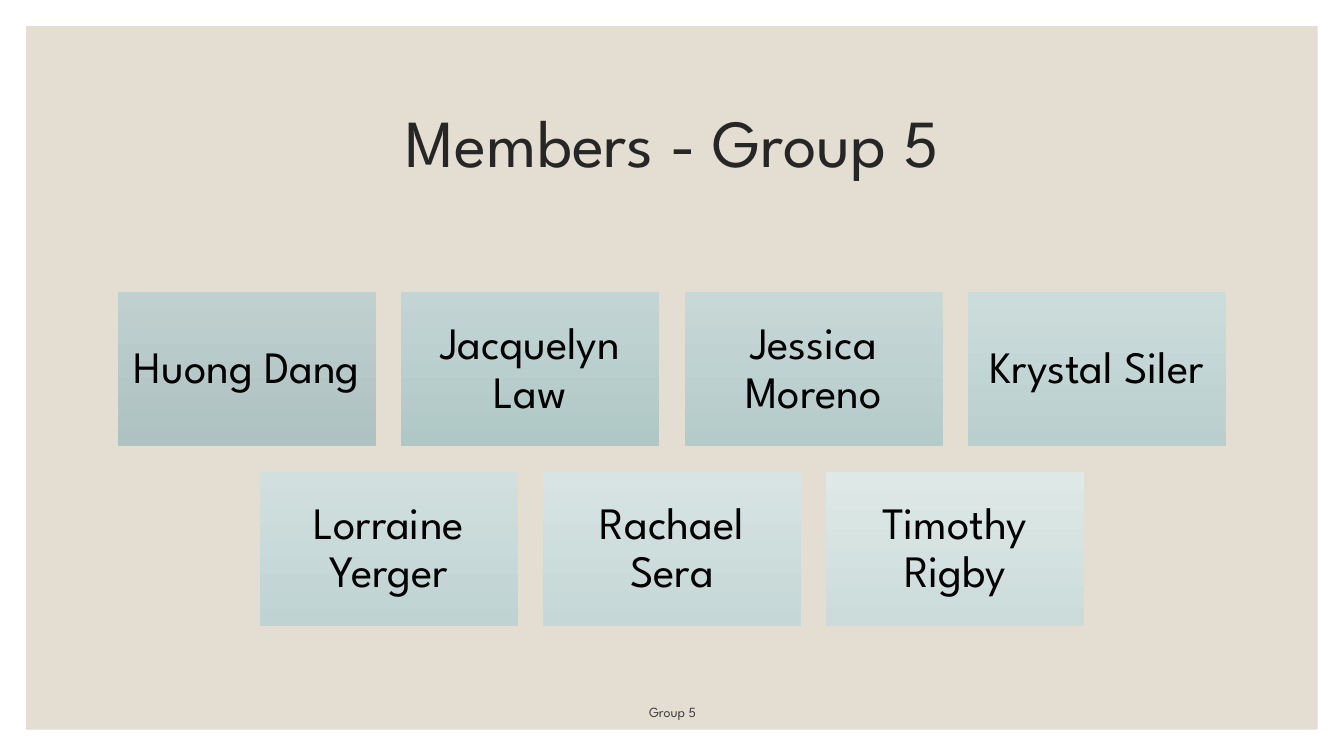
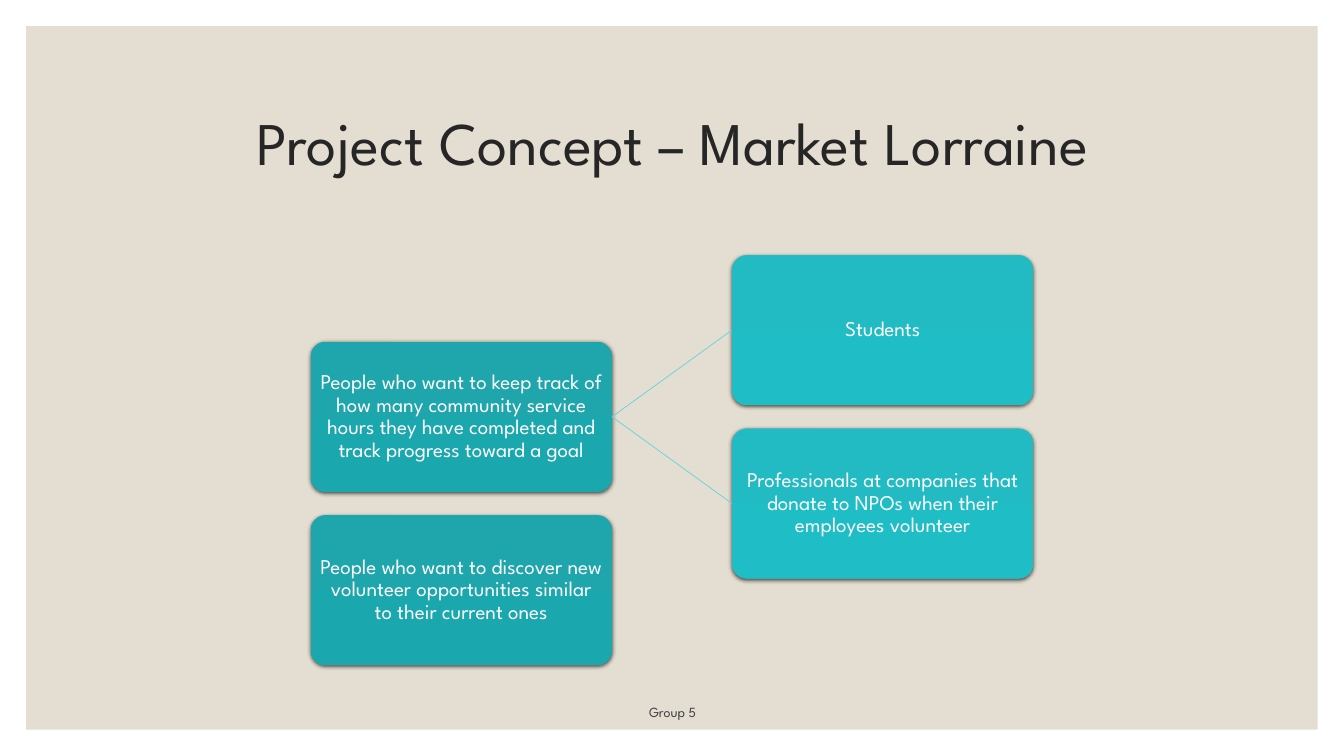
"""Build two slides: the group members and the project's market concept."""
import lxml.etree
import pptx
import pptx.dml.color
import pptx.enum.shapes
import pptx.enum.text
import pptx.oxml.ns
import pptx.util

Inches = pptx.util.Inches
RGBColor = pptx.dml.color.RGBColor
SHAPES = pptx.enum.shapes.MSO_SHAPE
ANCHOR = pptx.enum.text.MSO_ANCHOR

FONT = "League Spartan"
SAND = RGBColor(0xE3, 0xDE, 0xD1)
TITLE_INK = RGBColor(0x26, 0x26, 0x26)
FOOTER_INK = RGBColor(0x40, 0x40, 0x40)
BLACK = RGBColor(0, 0, 0)
WHITE = RGBColor(0xFF, 0xFF, 0xFF)
LINK_TEAL = RGBColor(0x62, 0xD4, 0xDB)
DEEP_TEAL = (RGBColor(0x1F, 0xA5, 0xAC), RGBColor(0x1B, 0xA7, 0xAE))
BRIGHT_TEAL = (RGBColor(0x23, 0xBB, 0xC3), RGBColor(0x1F, 0xBD, 0xC5))

SLIDE_WIDTH, SLIDE_HEIGHT, MARGIN = 13.33, 7.5, 0.26
FOOTER = "Group 5"

MEMBERS_TITLE = "Members - Group 5"
MEMBER_ROWS = [
    [
        ("Huong Dang", "BFD0CF", "ADC2C1"),
        ("Jacquelyn Law", "C2D5D4", "AFC8C6"),
        ("Jessica Moreno", "C7D8D7", "B4CBCA"),
        ("Krystal Siler", "CCDCDB", "B9CFCE"),
    ],
    [
        ("Lorraine Yerger", "D1E0DF", "BFD3D2"),
        ("Rachael Sera", "D7E4E3", "C5D7D6"),
        ("Timothy Rigby", "DDE8E7", "CCDCDA"),
    ],
]
CARD_WIDTH, CARD_HEIGHT, CARD_GAP, CARDS_TOP = 2.56, 1.53, 0.25, 2.9

CONCEPT_TITLE = "Project Concept – Market Lorraine"
AUDIENCES = [
    "People who want to keep track of how many community service hours "
    "they have completed and track progress toward a goal",
    "People who want to discover new volunteer opportunities similar to "
    "their current ones",
]
SEGMENTS = [
    "Students",
    "Professionals at companies that donate to NPOs when their employees volunteer",
]
NODE_WIDTH, NODE_HEIGHT, NODE_PITCH = 2.99, 1.49, 1.72
AUDIENCE_LEFT, AUDIENCE_TOP = 3.08, 3.39
SEGMENT_LEFT, SEGMENT_TOP = 7.26, 2.53


def write_text(shape, text, size, color, anchor=ANCHOR.MIDDLE, inset=None):
    """Set centred text in the shared font."""
    frame = shape.text_frame
    frame.text = text
    frame.word_wrap = True
    frame.auto_size = pptx.enum.text.MSO_AUTO_SIZE.NONE
    frame.vertical_anchor = anchor
    if inset is not None:
        frame.margin_left = frame.margin_right = Inches(inset)
        frame.margin_top = frame.margin_bottom = Inches(inset)
    paragraph = frame.paragraphs[0]
    paragraph.alignment = pptx.enum.text.PP_ALIGN.CENTER
    paragraph.line_spacing = 0.9
    font = paragraph.runs[0].font
    font.name, font.size, font.color.rgb = FONT, pptx.util.Pt(size), color


def add_block(slide, kind, left, top, width, height):
    """Add a shape without outline or shadow."""
    block = slide.shapes.add_shape(
        kind, Inches(left), Inches(top), Inches(width), Inches(height))
    block.shadow.inherit = False
    block.line.fill.background()
    return block


def fill_downward(shape, colors):
    """Fill a shape with a gradient from top to bottom."""
    shape.fill.gradient()
    shape.fill.gradient_angle = 270
    for stop, color in zip(shape.fill.gradient_stops, colors):
        stop.color.rgb = color


def add_soft_shadow(shape):
    """Give a shape a small shadow below it."""
    tag = pptx.oxml.ns.qn
    effects = shape._element.spPr.find(tag("a:effectLst"))
    shadow = lxml.etree.SubElement(
        effects, tag("a:outerShdw"), blurRad=str(pptx.util.Pt(3)),
        dist=str(pptx.util.Pt(1)), dir="5400000", algn="ctr", rotWithShape="0")
    black = lxml.etree.SubElement(shadow, tag("a:srgbClr"), val="000000")
    lxml.etree.SubElement(black, tag("a:alpha"), val="63000")


def add_slide(presentation, title, title_size):
    """Add a slide with its title and footer."""
    slide = presentation.slides.add_slide(presentation.slide_layouts[5])
    heading = slide.shapes.title
    heading.left, heading.top = Inches(1.17), Inches(0.7)
    heading.width, heading.height = Inches(11), Inches(1.5)
    write_text(heading, title, title_size, TITLE_INK)
    footer = slide.shapes.add_textbox(
        Inches(3.82), Inches(6.9), Inches(5.7), Inches(0.3))
    write_text(footer, FOOTER, 10, FOOTER_INK, ANCHOR.BOTTOM)
    footer.text_frame.paragraphs[0].line_spacing = 1.0
    return slide


def move_panel_to_layout(slide):
    """Draw the sand panel once and place it on the shared layout."""
    panel = add_block(slide, SHAPES.RECTANGLE, MARGIN, MARGIN,
                      SLIDE_WIDTH - 2 * MARGIN, SLIDE_HEIGHT - 2 * MARGIN)
    panel.fill.solid()
    panel.fill.fore_color.rgb = SAND
    slide.slide_layout.shapes._spTree.insert(2, panel._element)


def add_members(slide):
    """Lay out the member cards in centred rows."""
    for row, members in enumerate(MEMBER_ROWS):
        row_width = len(members) * (CARD_WIDTH + CARD_GAP) - CARD_GAP
        row_left = (SLIDE_WIDTH - row_width) / 2
        top = CARDS_TOP + row * (CARD_HEIGHT + CARD_GAP)
        for column, (name, upper, lower) in enumerate(members):
            left = row_left + column * (CARD_WIDTH + CARD_GAP)
            card = add_block(slide, SHAPES.RECTANGLE, left, top,
                             CARD_WIDTH, CARD_HEIGHT)
            fill_downward(card, map(RGBColor.from_string, (upper, lower)))
            write_text(card, name, 32, BLACK, inset=0.13)


def add_nodes(slide, texts, left, top, colors):
    """Stack rounded boxes in a column and return them."""
    nodes = []
    for index, text in enumerate(texts):
        node = add_block(slide, SHAPES.ROUNDED_RECTANGLE, left,
                         top + index * NODE_PITCH, NODE_WIDTH, NODE_HEIGHT)
        node.adjustments[0] = 0.1
        fill_downward(node, colors)
        add_soft_shadow(node)
        write_text(node, text, 15, WHITE, inset=0.05)
        nodes.append(node)
    return nodes


def link_nodes(slide, source, target):
    """Join the right side of one box to the left side of another."""
    link = slide.shapes.add_connector(
        pptx.enum.shapes.MSO_CONNECTOR.STRAIGHT, 0, 0, 0, 0)
    link.begin_connect(source, 3)
    link.end_connect(target, 1)
    link.line.color.rgb = LINK_TEAL
    link.line.width = pptx.util.Pt(0.5)
    lxml.etree.SubElement(
        link._element.spPr, pptx.oxml.ns.qn("a:effectLst"))


def add_concept(slide):
    """Draw the audiences and the segments of the first one."""
    audiences = add_nodes(
        slide, AUDIENCES, AUDIENCE_LEFT, AUDIENCE_TOP, DEEP_TEAL)
    segments = add_nodes(
        slide, SEGMENTS, SEGMENT_LEFT, SEGMENT_TOP, BRIGHT_TEAL)
    for segment in segments:
        link_nodes(slide, audiences[0], segment)


def main():
    """Build and save the presentation."""
    presentation = pptx.Presentation()
    presentation.slide_width = Inches(SLIDE_WIDTH)
    presentation.slide_height = Inches(SLIDE_HEIGHT)
    members_slide = add_slide(presentation, MEMBERS_TITLE, 48)
    move_panel_to_layout(members_slide)
    add_members(members_slide)
    add_concept(add_slide(presentation, CONCEPT_TITLE, 43.2))
    presentation.save("out.pptx")


main()
